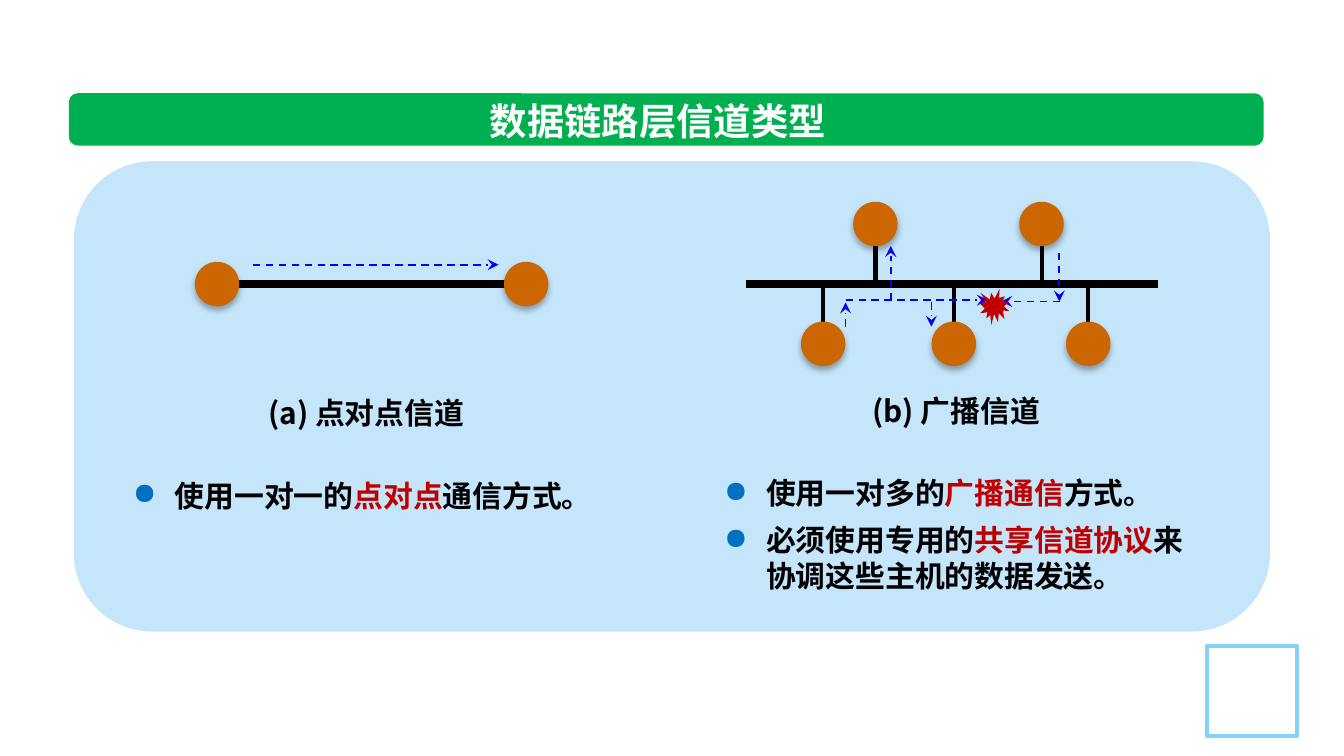
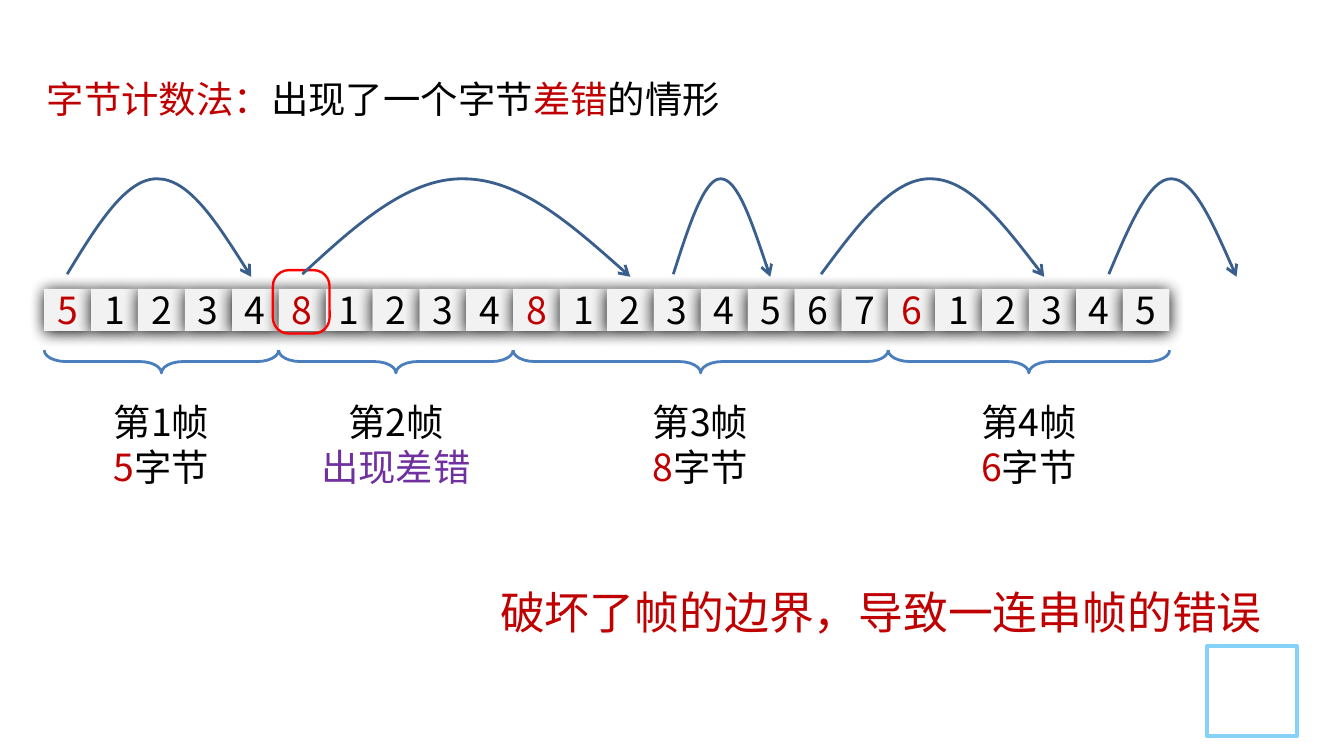
from lxml.etree import SubElement
from pptx import Presentation
from pptx.dml.color import RGBColor
from pptx.enum.dml import MSO_LINE
from pptx.enum.shapes import MSO_CONNECTOR, MSO_SHAPE as SHAPE
from pptx.enum.text import MSO_ANCHOR as ANCHOR, PP_ALIGN as ALIGN
from pptx.oxml.ns import qn
from pptx.util import Pt

FONT, TITLE_FONT = "Noto Sans CJK SC", "Calibri"
BLACK, WHITE, RED, PURPLE = "000000", "FFFFFF", "C00000", "7030A0"
GREEN, PANEL, FRAME_BLUE = "00B050", "C5E5FB", "85D1F7"
NODE, SIGNAL, BULLET = "CC6600", "0000FF", "0070C0"
CELL, BRACE, ARC, ERROR = "F2F2F2", "4B7EBC", "3A5F8C", "FF0000"
LINE_HEIGHT = 1.2

CORNER_BOX = (646.5, 346.3, 48.2, 48.2)

CHANNEL_TITLE = "数据链路层信道类型"
CHANNELS = [
    {
        "box": (64.1, 208.1, 264.2, 71.3),
        "caption": "(a) 点对点信道",
        "points": [[("使用一对一的", BLACK), ("点对点", RED), ("通信方式。", BLACK)]],
    },
    {
        "box": (380.9, 206.6, 262.8, 116.6),
        "caption": "(b) 广播信道",
        "points": [
            [("使用一对多的", BLACK), ("广播通信", RED), ("方式。", BLACK)],
            [("必须使用专用的", BLACK), ("共享信道协议", RED),
             ("来协调这些主机的数据发送。", BLACK)],
        ],
    },
]
BUS_Y = 152.2
BUSES = [(116, 281.5), (399.6, 620.6)]
NODE_SIZE = 23.8
LINK_NODES = [(116.3, BUS_Y), (281.9, BUS_Y)]
UPPER_NODES = [(469, 120), (558, 120)]
LOWER_NODES = [(441, 184.2), (511, 184.2), (583, 184.2)]
SIGNALS = [
    (568, 161.5, 536.4, 161.5),
    (567.5, 135.4, 567.5, 161.5),
    (453, 160.8, 529.2, 160.8),
    (477.2, 160.8, 477.2, 131.8),
    (499, 162, 499, 175),
    (453, 175, 453, 162),
    (135.4, 141.8, 267.1, 141.8),
]
COLLISION = (524.9, 154.8, 15.8, 19.4)

COUNT_TITLE = [("字节计数法：", RED), ("出现了一个字节", BLACK),
               ("差错", RED), ("的情形", BLACK)]
FRAMES = [
    ("51234", 74.9, "第1帧", [("5", RED), ("字节", BLACK)]),
    ("81234", 125.3, "第2帧", [("出现差错", PURPLE)]),
    ("81234567", 74.9, "第3帧", [("8", RED), ("字节", BLACK)]),
    ("612345", 74.9, "第4帧", [("6", RED), ("字节", BLACK)]),
]
CELL_LEFT, CELL_TOP, CELL_WIDTH, CELL_HEIGHT = 23.7, 154.8, 25.12, 22.5
BRACE_Y, BRACE_DEPTH, LABEL_TOP = 193.7, 12.2, 210.4
ERROR_BOX = (146.2, 144.7, 30.4, 34)
JUMPS = [(36, 134.6), (162, 337.7), (360.7, 412.6), (439.9, 559.4), (594, 662.4)]
JUMP_CURVE = [(0, 146.9), (0.16, 121), (0.32, 95.4), (0.49, 95.8),
              (0.66, 95.8), (0.83, 121.7), (1, 148.3)]
CONCLUSION = "破坏了帧的边界，导致一连串帧的错误"


def color(value):
    return RGBColor.from_string(value)


def add_block(slide, kind, box, fill=None, line=None, width=1):
    shape = slide.shapes.add_shape(kind, *[Pt(value) for value in box])
    shape.shadow.inherit = False
    paint(shape, fill, line, width)
    return shape


def paint(shape, fill, line, width):
    if fill:
        shape.fill.solid()
        shape.fill.fore_color.rgb = color(fill)
    else:
        shape.fill.background()
    if line:
        shape.line.color.rgb = color(line)
        shape.line.width = Pt(width)
    else:
        shape.line.fill.background()


def add_shadow(shape, opacity, blur, distance):
    effects = shape._element.spPr.find(qn("a:effectLst"))
    shadow = SubElement(effects, qn("a:outerShdw"), blurRad=str(Pt(blur)),
                        dist=str(Pt(distance)), dir="5400000", rotWithShape="0")
    tint = SubElement(shadow, qn("a:srgbClr"), val=BLACK)
    SubElement(tint, qn("a:alpha"), val=str(opacity * 1000))


def add_arrowhead(shape, kind):
    SubElement(shape.line._get_or_add_ln(), qn("a:tailEnd"), type=kind)


def add_line(slide, ends, line, width, dashed_arrow=False):
    connector = slide.shapes.add_connector(
        MSO_CONNECTOR.STRAIGHT, *[Pt(value) for value in ends])
    connector.line.color.rgb = color(line)
    connector.line.width = Pt(width)
    if dashed_arrow:
        connector.line.dash_style = MSO_LINE.DASH
        add_arrowhead(connector, "stealth")
    SubElement(connector._element.spPr, qn("a:effectLst"))


def add_bullet(paragraph):
    properties = paragraph._p.get_or_add_pPr()
    properties.set("marL", str(Pt(22.5)))
    properties.set("indent", str(-Pt(22.5)))
    tint = SubElement(properties, qn("a:buClr"))
    SubElement(tint, qn("a:srgbClr"), val=BULLET)
    SubElement(properties, qn("a:buChar"), char="●")


def write(paragraph, runs, size, align=ALIGN.CENTER, bold=False, font=FONT):
    paragraph.alignment = align
    paragraph.line_spacing = Pt(size * LINE_HEIGHT)
    for text, tint in runs:
        run = paragraph.add_run()
        run.text = text
        run.font.name = font
        run.font.size = Pt(size)
        run.font.bold = bold
        run.font.color.rgb = color(tint)
        SubElement(run._r.get_or_add_rPr(), qn("a:ea"), typeface=FONT)


def add_text(slide, box, wrap=True):
    frame = slide.shapes.add_textbox(*[Pt(value) for value in box]).text_frame
    frame.word_wrap = wrap
    return frame


def new_slide(presentation):
    slide = presentation.slides.add_slide(presentation.slide_layouts[6])
    add_block(slide, SHAPE.RECTANGLE, CORNER_BOX, WHITE, FRAME_BLUE, 2)
    return slide


def add_channel_slide(presentation):
    slide = new_slide(presentation)
    bar = add_block(slide, SHAPE.ROUNDED_RECTANGLE, (36.9, 50, 640, 28), GREEN)
    bar.adjustments[0] = 0.167
    add_block(slide, SHAPE.ROUNDED_RECTANGLE, (39.6, 86.4, 640.8, 252), PANEL)

    for left, right in BUSES:
        add_line(slide, (left, BUS_Y, right, BUS_Y), BLACK, 4.5)
    for x, y in UPPER_NODES + LOWER_NODES:
        edge = BUS_Y + (24 if y > BUS_Y else -24)
        add_line(slide, (x, min(BUS_Y, edge), x, max(BUS_Y, edge)), BLACK, 2.25)
    for x, y in LINK_NODES + UPPER_NODES + LOWER_NODES:
        box = (x - NODE_SIZE / 2, y - NODE_SIZE / 2, NODE_SIZE, NODE_SIZE)
        add_shadow(add_block(slide, SHAPE.OVAL, box, NODE), 32, 3.5, 2.2)

    title = add_text(slide, (254.2, 49, 196.6, 31.5), wrap=False)
    write(title.paragraphs[0], [(CHANNEL_TITLE, WHITE)], 20, bold=True, font=TITLE_FONT)
    for ends in SIGNALS:
        add_line(slide, ends, SIGNAL, 1, dashed_arrow=True)
    add_block(slide, SHAPE.EXPLOSION1, COLLISION, RED)

    for channel in CHANNELS:
        frame = add_text(slide, channel["box"])
        caption = frame.paragraphs[0]
        write(caption, [(channel["caption"], BLACK)], 16, bold=True)
        caption.space_after = Pt(16 * LINE_HEIGHT)
        for runs in channel["points"]:
            paragraph = frame.add_paragraph()
            add_bullet(paragraph)
            paragraph.space_before = Pt(6)
            write(paragraph, runs, 16, ALIGN.LEFT, bold=True)


def add_cell(slide, index, digit, tint):
    box = (CELL_LEFT + index * CELL_WIDTH, CELL_TOP, CELL_WIDTH, CELL_HEIGHT)
    cell = add_block(slide, SHAPE.RECTANGLE, box, CELL)
    add_shadow(cell, 100, 8.5, 1)
    frame = cell.text_frame
    frame.word_wrap = False
    frame.vertical_anchor = ANCHOR.MIDDLE
    frame.margin_left = frame.margin_right = Pt(1.5)
    write(frame.paragraphs[0], [(digit, tint)], 20)


def add_frame_label(slide, start, count, width, name, detail):
    length = count * CELL_WIDTH
    center = CELL_LEFT + start * CELL_WIDTH + length / 2
    box = (center - BRACE_DEPTH / 2, BRACE_Y - length / 2, BRACE_DEPTH, length)
    brace = add_block(slide, SHAPE.LEFT_BRACE, box, line=BRACE, width=1.5)
    brace.rotation = 270
    brace.adjustments[0] = 0.951
    frame = add_text(slide, (center - width / 2, LABEL_TOP, width, 55.4))
    write(frame.paragraphs[0], [(name, BLACK)], 20)
    write(frame.add_paragraph(), detail, 20)


def add_jump(slide, start, end):
    points = [(Pt(start + part * (end - start)), Pt(y)) for part, y in JUMP_CURVE]
    builder = slide.shapes.build_freeform(*points[0])
    builder.add_line_segments(points[1:], close=False)
    jump = builder.convert_to_shape()
    jump.shadow.inherit = False
    paint(jump, None, ARC, 1.5)
    add_arrowhead(jump, "arrow")
    outline = next(jump._element.iter(qn("a:path")))
    segments = outline.findall(qn("a:lnTo"))
    for first in range(0, len(segments), 3):
        curve = SubElement(outline, qn("a:cubicBezTo"))
        for segment in segments[first:first + 3]:
            curve.append(segment[0])
            outline.remove(segment)


def add_count_slide(presentation):
    slide = new_slide(presentation)
    start = 0
    for digits, width, name, detail in FRAMES:
        add_frame_label(slide, start, len(digits), width, name, detail)
        for offset, digit in enumerate(digits):
            add_cell(slide, start + offset, digit, BLACK if offset else RED)
        start += len(digits)

    mark = add_block(slide, SHAPE.ROUNDED_RECTANGLE, ERROR_BOX, line=ERROR, width=1.25)
    mark.adjustments[0] = 0.282
    for jump in JUMPS:
        add_jump(slide, *jump)

    conclusion = add_text(slide, (237.6, 309.6, 468.7, 36))
    write(conclusion.paragraphs[0], [(CONCLUSION, RED)], 24)
    title = add_text(slide, (18, 37.4, 453.6, 55.4))
    write(title.paragraphs[0], COUNT_TITLE, 20, ALIGN.LEFT, font=TITLE_FONT)


def main():
    presentation = Presentation()
    presentation.slide_width, presentation.slide_height = Pt(720), Pt(405)
    add_channel_slide(presentation)
    add_count_slide(presentation)
    presentation.save("out.pptx")


if __name__ == "__main__":
    main()
